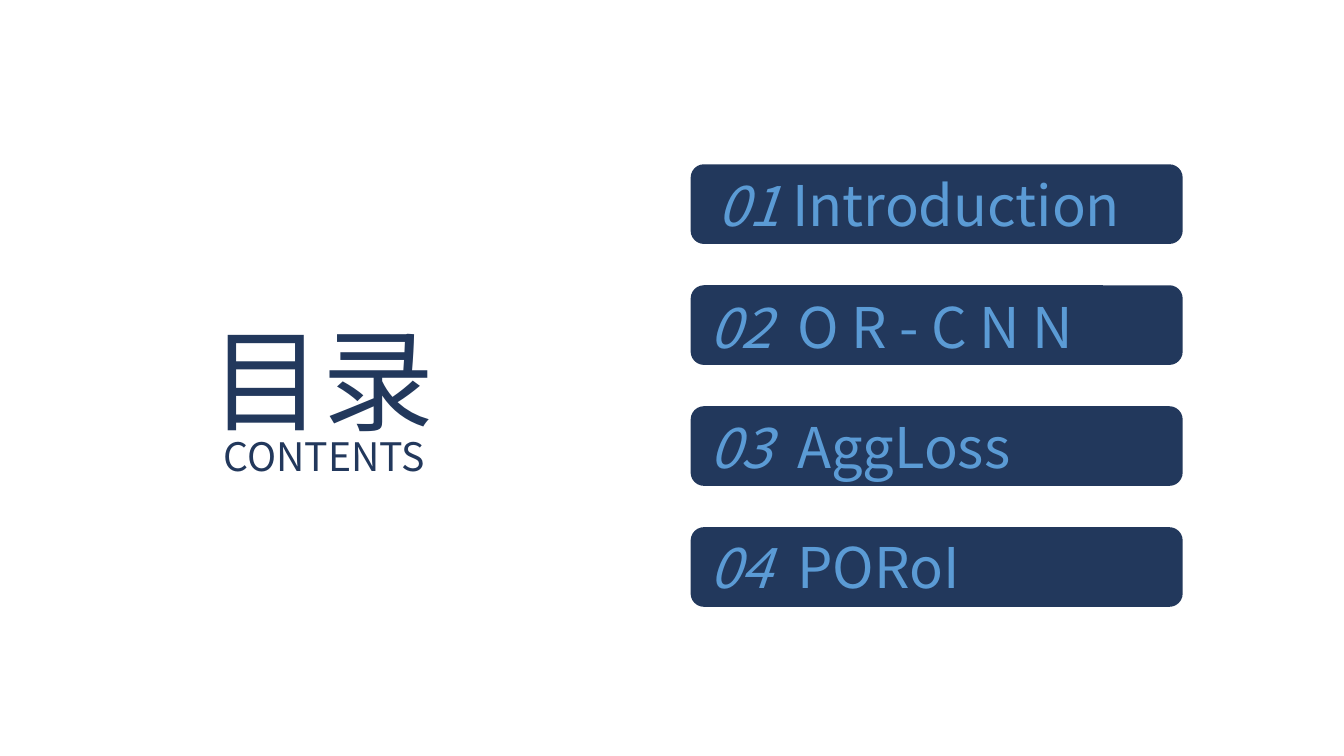
from lxml.etree import SubElement
from pptx import Presentation
from pptx.dml.color import RGBColor
from pptx.enum.shapes import MSO_SHAPE as Shape
from pptx.enum.text import MSO_AUTO_SIZE as AutoSize, PP_ALIGN as Align
from pptx.oxml.ns import qn
from pptx.util import Inches, Pt

FONT = "Noto Sans CJK SC"
NAVY, BLUE = "22385C", "5B9BD5"

# text, size, (left, top, width, height)
HEADINGS = [
    ("目录", 80, (1.99, 3.03, 2.59, 1.45)),
    ("CONTENTS", 28, (2.12, 4.24, 2.35, 0.57)),
]
# number, title, label left, label top, title indent
ENTRIES = [
    ("01", "Introduction", 7.02, 1.64, 0.74),
    ("02", "O R - C N N", 6.94, 2.85, 0.87),
    ("03", "AggLoss", 6.94, 4.04, 0.87),
    ("04", "PORoI", 6.94, 5.23, 0.87),
]
BAR_LEFT, BAR_TOP, BAR_WIDTH, BAR_HEIGHT = 6.85, 1.63, 4.88, 0.79
BAR_PITCH = 1.2
LABEL_WIDTH, LABEL_HEIGHT = 4.71, 0.77


def color(hex_value):
    return RGBColor.from_string(hex_value)


def add_run(paragraph, text, size, hex_value, italic=False):
    run = paragraph.add_run()
    run.text = text
    for name, value in {"name": FONT, "size": Pt(size), "italic": italic}.items():
        setattr(run.font, name, value)
    run.font.color.rgb = color(hex_value)
    SubElement(run.font._element, qn("a:ea"), typeface=FONT)


def add_text_box(slide, box):
    """Add a wrapping, growing text box and return its justified paragraph."""
    frame = slide.shapes.add_textbox(*map(Inches, box)).text_frame
    frame.word_wrap = True
    frame.auto_size = AutoSize.SHAPE_TO_FIT_TEXT
    paragraph = frame.paragraphs[0]
    paragraph.alignment = Align.JUSTIFY
    return paragraph


def add_tab_stop(paragraph, position):
    properties = paragraph._p.get_or_add_pPr()
    tabs = SubElement(properties, qn("a:tabLst"))
    SubElement(tabs, qn("a:tab"), pos=str(Inches(position)), algn="l")


def add_bar(slide, row):
    box = (BAR_LEFT, BAR_TOP + row * BAR_PITCH, BAR_WIDTH, BAR_HEIGHT)
    bar = slide.shapes.add_shape(Shape.ROUNDED_RECTANGLE, *map(Inches, box))
    bar.shadow.inherit = False
    bar.fill.solid()
    bar.fill.fore_color.rgb = color(NAVY)
    bar.line.fill.background()


def main():
    presentation = Presentation()
    presentation.slide_width, presentation.slide_height = Inches(13.33), Inches(7.5)
    slide = presentation.slides.add_slide(presentation.slide_layouts[6])

    for text, size, box in HEADINGS:
        add_run(add_text_box(slide, box), text, size, NAVY)

    for row, (number, title, left, top, indent) in enumerate(ENTRIES):
        add_bar(slide, row)
        paragraph = add_text_box(slide, (left, top, LABEL_WIDTH, LABEL_HEIGHT))
        add_tab_stop(paragraph, indent)
        add_run(paragraph, number, 40, BLUE, italic=True)
        add_run(paragraph, "\t" + title, 40, BLUE)

    presentation.save("out.pptx")


if __name__ == "__main__":
    main()
